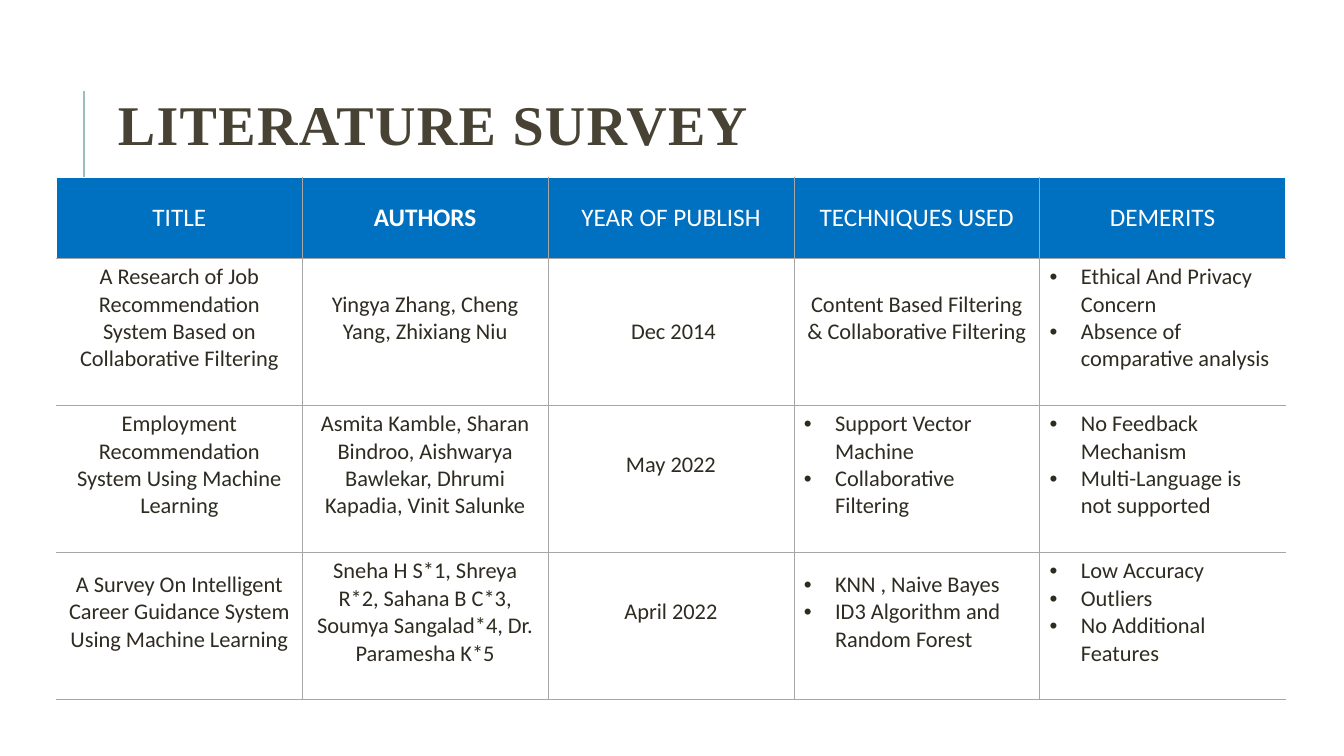
from lxml import etree
from pptx import Presentation
from pptx.dml.color import RGBColor
from pptx.enum.shapes import MSO_CONNECTOR
from pptx.enum.text import MSO_ANCHOR, MSO_AUTO_SIZE, PP_ALIGN
from pptx.oxml.ns import qn
from pptx.util import Inches, Pt

STRAIGHT = MSO_CONNECTOR.STRAIGHT
MIDDLE = MSO_ANCHOR.MIDDLE
NO_FIT = MSO_AUTO_SIZE.NONE
LEFT, CENTER = PP_ALIGN.LEFT, PP_ALIGN.CENTER

# Content: a list inside a row becomes bullets
TITLE = "LITERATURE SURVEY"
HEADERS = ["TITLE", "AUTHORS", "YEAR OF PUBLISH", "TECHNIQUES USED", "DEMERITS"]
BOLD_HEADER = "AUTHORS"
PAPERS = [
    ["A Research of Job Recommendation System Based on Collaborative Filtering",
     "Yingya Zhang, Cheng Yang, Zhixiang Niu",
     " Dec 2014",
     "Content Based Filtering & Collaborative Filtering",
     ["Ethical And Privacy Concern", "Absence of comparative analysis"]],
    ["Employment Recommendation System Using Machine Learning",
     "Asmita Kamble, Sharan Bindroo, Aishwarya Bawlekar, Dhrumi Kapadia, Vinit Salunke",
     "May 2022",
     ["Support Vector Machine", "Collaborative Filtering"],
     ["No Feedback Mechanism", "Multi-Language is not supported"]],
    ["A Survey On Intelligent Career Guidance System Using Machine Learning",
     "Sneha H S*1, Shreya R*2, Sahana B C*3, Soumya Sangalad*4, Dr. Paramesha K*5",
     "April 2022",
     ["KNN , Naive Bayes", "ID3 Algorithm and Random Forest"],
     ["Low Accuracy", "Outliers", "No Additional Features"]],
]
CENTERED_CELL = (1, 2)  # the one body cell without extra space below

COLORS = {"title": "474233", "accent": "9CBEBD", "header": "0070C0",
          "text": "2E2B21", "grid": "A6A6A6", "white": "FFFFFF"}
TABLE_X, TABLE_Y, TABLE_W = 0.56, 1.76, 12.19
HEADER_H, ROW_H = 0.8, 1.46
BOTTOM_SPACE = 0.32
BULLET_INDENT = Inches(0.31)


def color(name):
    return RGBColor.from_string(COLORS[name])


def format_text(p, font, size, color_name, bold=False):
    for r in p.runs:
        r.font.name = font
        r.font.size = Pt(size)
        r.font.bold = bold
        r.font.color.rgb = color(color_name)


def add_bullet(p):
    pPr = p._p.get_or_add_pPr()
    pPr.set("marL", str(BULLET_INDENT))
    pPr.set("indent", str(-BULLET_INDENT))
    etree.SubElement(pPr, qn("a:buFont")).set("typeface", "Arial")
    etree.SubElement(pPr, qn("a:buChar")).set("char", "•")


def set_borders(cell, white_sides):
    tcPr = cell._tc.get_or_add_tcPr()
    for i, side in enumerate("LRTB"):
        white = side in white_sides
        ln = etree.Element(qn(f"a:ln{side}"), w=str(Pt(1 if white else 0.5)))
        fill = etree.SubElement(ln, qn("a:solidFill"))
        etree.SubElement(fill, qn("a:srgbClr")).set("val", COLORS["white" if white else "grid"])
        tcPr.insert(i, ln)


prs = Presentation()
prs.slide_width, prs.slide_height = Inches(13.33), Inches(7.5)
s = prs.slides.add_slide(prs.slide_layouts[5])

# Accent line beside the title
line = s.shapes.add_connector(STRAIGHT, Inches(0.83), Inches(1.9), Inches(0.83), Inches(0.9))
line.line.color.rgb = color("accent")
line.line.width = Pt(1.5)
etree.SubElement(line._element.spPr, qn("a:effectLst"))

# Title
title = s.shapes.title
title.left, title.top = Inches(1.07), Inches(0.46)
title.width, title.height = Inches(10.63), Inches(1.64)
tf = title.text_frame
tf.text = TITLE
tf.auto_size = NO_FIT
tf.vertical_anchor = MIDDLE
p = tf.paragraphs[0]
p.alignment = LEFT
p.line_spacing = 0.8
format_text(p, "Times New Roman", 40, "title", bold=True)
p.runs[0].font._element.set("spc", "100")

# Table
rows = [HEADERS] + PAPERS
last_col = len(HEADERS) - 1
table = s.shapes.add_table(
    len(rows), len(HEADERS), Inches(TABLE_X), Inches(TABLE_Y),
    Inches(TABLE_W), Inches(HEADER_H + ROW_H * len(PAPERS))).table
table.horz_banding = False
for column in table.columns:
    column.width = Inches(TABLE_W / len(HEADERS))

for i, row in enumerate(rows):
    is_header = i == 0
    table.rows[i].height = Inches(HEADER_H if is_header else ROW_H)
    for j, content in enumerate(row):
        cell = table.cell(i, j)
        cell.vertical_anchor = MIDDLE
        cell.fill.solid()
        cell.fill.fore_color.rgb = color("header" if is_header else "white")
        if not is_header and (i, j) != CENTERED_CELL:
            cell.margin_bottom = Inches(BOTTOM_SPACE)
        set_borders(cell, "T" * is_header + "L" * (j == 0) + "R" * (j == last_col))

        is_list = isinstance(content, list)
        cell.text_frame.text = "\n".join(content) if is_list else content
        for p in cell.text_frame.paragraphs:
            p.alignment = LEFT if is_list else CENTER
            if is_list:
                add_bullet(p)
            if is_header:
                format_text(p, "Calibri", 18, "white", bold=content == BOLD_HEADER)
            else:
                format_text(p, "Calibri", 16, "text")

prs.save("out.pptx")
